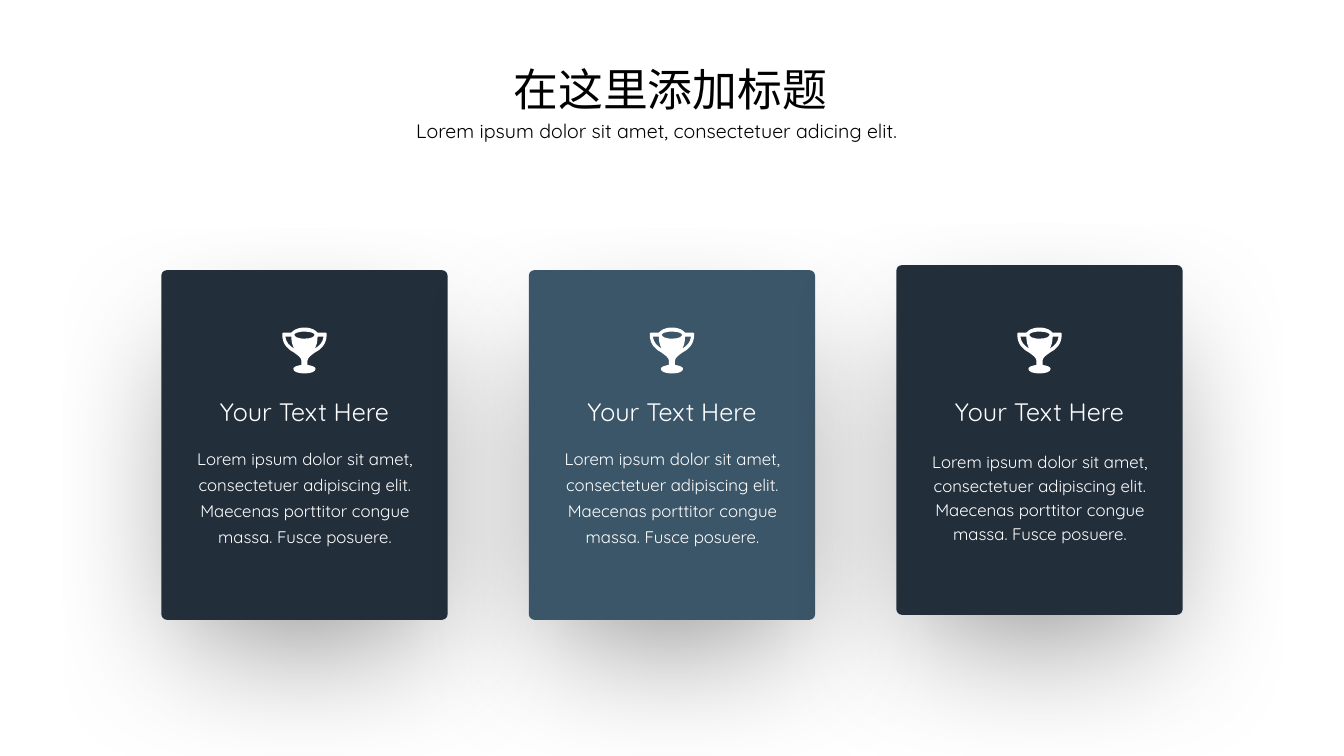
from lxml.etree import SubElement
from pptx import Presentation
from pptx.dml.color import RGBColor
from pptx.enum.shapes import MSO_SHAPE
from pptx.enum.text import MSO_AUTO_SIZE, PP_ALIGN
from pptx.oxml.ns import qn
from pptx.util import Inches, Pt

THEME = {
    "dark": "232E3B", "mid": "3B5668", "white": "FFFFFF", "black": "000000",
    "latin": "Quicksand", "cjk": "Noto Sans CJK SC",
    "title": 32, "head": 18, "sub": 14, "body": 12,
}
SHADE = {"blurRad": Pt(100), "dist": Pt(55), "dir": 90 * 60000,
         "sx": 85000, "sy": 85000, "algn": "t", "rotWithShape": 0}

TITLE = "在这里添加标题"
SUB = "Lorem ipsum dolor sit amet, consectetuer adicing elit."
HEAD = "Your Text Here"
BODY = ("Lorem ipsum dolor sit amet, consectetuer adipiscing elit. "
        "Maecenas porttitor congue massa. Fusce posuere.")
CARDS = [
    {"fill": "dark", "top": 2.68, "text": (4.34, 1.39), "gap": 1.3},
    {"fill": "mid", "top": 2.68, "text": (4.34, 1.39), "gap": 1.3},
    {"fill": "dark", "top": 2.63, "text": (4.39, 1.29), "gap": 1.2},
]
FIRST, LAST = 1.6, 8.89
WIDE, HIGH = 2.84, 3.47
CUP_TOP = 3.25

CUP = [(0, 0), (8, 0), (11, 3), (13, 5), *[(21, 5)] * 3,
       (22, 5), (22, 6), (22, 7), (22, 17), (16, 22), (10, 25),
       (6, 28), (3, 30), (3, 33), *[(3, 37)] * 3,
       (8, 38), (11, 39), (11, 41), (11, 44), (6, 45.5), (0, 45.5)]
MOUTH = [(0, 4), (7, 4), (10, 6), (10, 7), (10, 9), (7, 11), (0, 11)]
GRIP = [(10, 21), (12, 18), (13, 14), (13, 9), *[(19, 9)] * 3,
        (18, 15), (15, 18), (10, 21)]


def flip(pts):
    return [(-x, y) for x, y in reversed(pts)]


def paint(shape, color):
    shape.shadow.inherit = False
    shape.fill.solid()
    shape.fill.fore_color.rgb = RGBColor.from_string(THEME[color])
    shape.line.fill.background()


def write(slide, box, text, size, color, font="latin", wrap=False,
          align=PP_ALIGN.CENTER, gap=None):
    frame = slide.shapes.add_textbox(*map(Inches, box)).text_frame
    frame.word_wrap = wrap
    frame.auto_size = MSO_AUTO_SIZE.SHAPE_TO_FIT_TEXT
    para = frame.paragraphs[0]
    para.alignment = align
    para.line_spacing = gap
    run = para.add_run()
    run.text = text
    for key, value in {"size": Pt(THEME[size]), "name": THEME[font]}.items():
        setattr(run.font, key, value)
    run.font.color.rgb = RGBColor.from_string(THEME[color])
    if font == "cjk":
        SubElement(run.font._element, qn("a:ea"), typeface=THEME[font])


def cast(shape):
    effect = shape._element.spPr.find(qn("a:effectLst"))
    outer = SubElement(effect, qn("a:outerShdw"),
                       {key: str(value) for key, value in SHADE.items()})
    tint = SubElement(outer, qn("a:srgbClr"), val=THEME["black"])
    SubElement(tint, qn("a:alpha"), val="40000")


def bend(shape):
    lines = list(shape._element.iter(qn("a:lnTo")))
    for i in range(0, len(lines), 3):
        curve = lines[i].makeelement(qn("a:cubicBezTo"))
        lines[i].addprevious(curve)
        for line in lines[i:i + 3]:
            curve.append(line[0])
            line.getparent().remove(line)


def trophy(slide, mid):
    rings = [CUP + flip(CUP)[1:], MOUTH + flip(MOUTH)[1:], GRIP, flip(GRIP)]
    rings = [[(x * 10, y * 10) for x, y in ring] for ring in rings]
    pen = slide.shapes.build_freeform(*rings[0][0], scale=Inches(1) / 1000)
    pen.add_line_segments(rings[0][1:], close=True)
    for ring in rings[1:]:
        pen.move_to(*ring[0])
        pen.add_line_segments(ring[1:], close=True)
    cup = pen.convert_to_shape(Inches(mid), Inches(CUP_TOP))
    bend(cup)
    paint(cup, "white")


def card(slide, left, data):
    mid = left + WIDE / 2
    box = slide.shapes.add_shape(MSO_SHAPE.ROUNDED_RECTANGLE,
                                 *map(Inches, (left, data["top"], WIDE, HIGH)))
    box.adjustments[0] = 0.02
    paint(box, data["fill"])
    cast(box)
    trophy(slide, mid)
    write(slide, (mid - 0.97, 3.88, 1.94, 0.4), HEAD, "head", "white")
    top, high = data["text"]
    write(slide, (mid - 1.17, top, 2.35, high), BODY, "body", "white",
          wrap=True, gap=data["gap"])


def main():
    deck = Presentation()
    deck.slide_width, deck.slide_height = Inches(13.33), Inches(7.5)
    slide = deck.slides.add_slide(deck.slide_layouts[6])
    step = (LAST - FIRST) / (len(CARDS) - 1)
    for i, data in enumerate(CARDS):
        card(slide, FIRST + i * step, data)
    write(slide, (4.98, 0.56, 3.34, 0.64), TITLE, "title", "black", font="cjk")
    write(slide, (4.03, 1.13, 5.28, 0.34), SUB, "sub", "black",
          wrap=True, align=PP_ALIGN.LEFT)
    deck.save("out.pptx")


if __name__ == "__main__":
    main()
